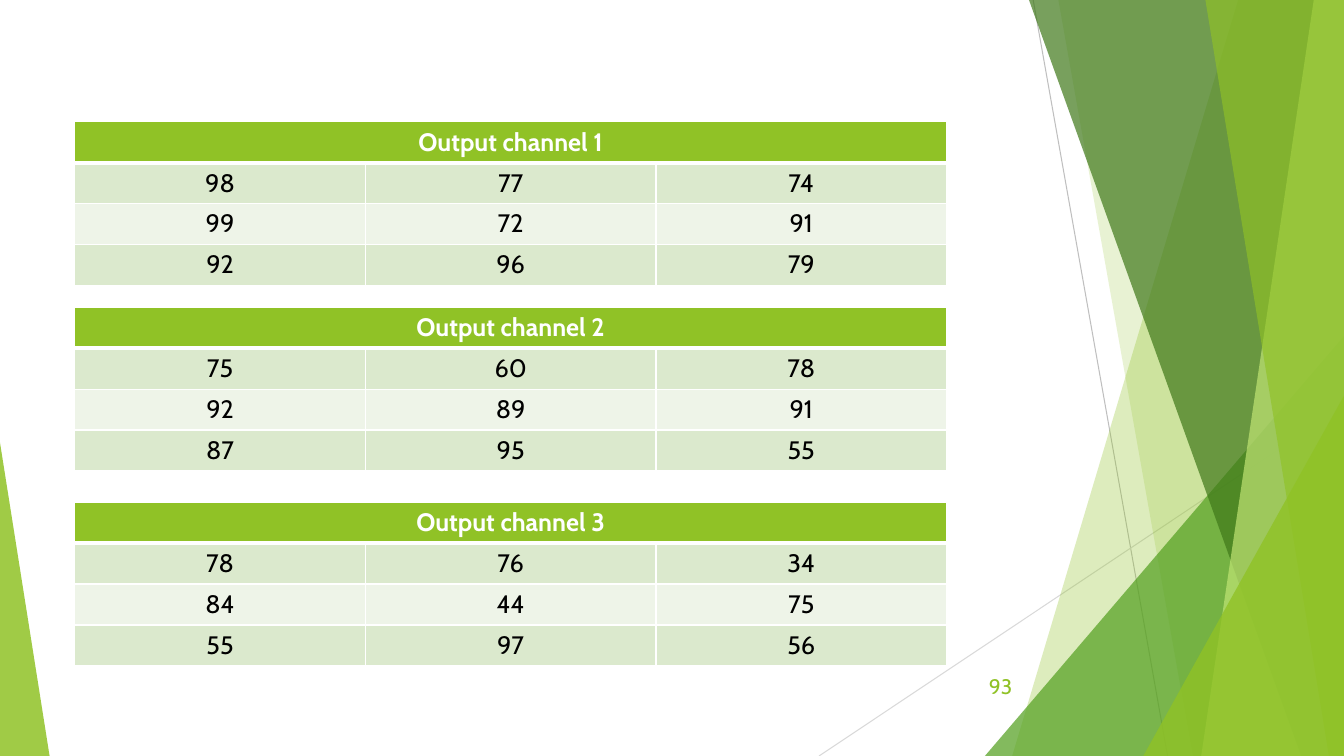
from lxml.etree import SubElement
from pptx import Presentation
from pptx.dml.color import RGBColor
from pptx.enum.shapes import MSO_CONNECTOR as Connector, MSO_SHAPE as Preset
from pptx.enum.text import MSO_ANCHOR as Anchor, PP_ALIGN as Align
from pptx.oxml.ns import qn
from pptx.util import Inches, Pt

COLORS = {
    "lime": "90C226", "green": "54A021", "forest": "3F7819", "pale": "C0E474",
    "band": "DBE9CD", "light band": "EEF4E8", "white": "FFFFFF",
    "black": "000000", "gray": "BFBFBF", "light gray": "D9D9D9",
}
COLS, ROWS = 160, 90  # grid over the whole slide
ROW_HEIGHT = 4.86


class ChannelSlide:
    font = "Cabin"

    def __init__(self, deck):
        self.slide = deck.slides.add_slide(deck.slide_layouts[6])
        self.shapes = self.slide.shapes
        self.col = deck.slide_width / COLS
        self.row = deck.slide_height / ROWS

    def x(self, cols):
        return round(cols * self.col)

    def y(self, rows):
        return round(rows * self.row)

    def box(self, left, top, width, height):
        return self.x(left), self.y(top), self.x(width), self.y(height)

    def color(self, name):
        return RGBColor.from_string(COLORS[name])

    def paint(self, facet, name, opacity):
        facet.shadow.inherit = False
        facet.line.fill.background()
        facet.fill.solid()
        facet.fill.fore_color.rgb = self.color(name)
        tint = facet._element.spPr.find(qn("a:solidFill"))[0]
        SubElement(tint, qn("a:alpha"), val=str(opacity * 1000))

    def line(self, start, end, name):
        ray = self.shapes.add_connector(
            Connector.STRAIGHT, self.x(start[0]), self.y(start[1]),
            self.x(end[0]), self.y(end[1]))
        ray.line.color.rgb = self.color(name)
        ray.line.width = Pt(0.75)
        SubElement(ray._element.spPr, qn("a:effectLst"))

    def polygon(self, corners, name, opacity):
        points = [(self.x(col), self.y(row)) for col, row in corners]
        outline = self.shapes.build_freeform(*points[0])
        outline.add_line_segments(points[1:], close=True)
        self.paint(outline.convert_to_shape(), name, opacity)

    def triangle(self, left, top, width, height, tip, name, opacity):
        facet = self.shapes.add_shape(
            Preset.ISOSCELES_TRIANGLE, *self.box(left, top, width, height))
        facet.adjustments[0] = tip
        self.paint(facet, name, opacity)

    def add_words(self, frame, words, align, size, name, bold=False):
        paragraph = frame.paragraphs[0]
        paragraph.alignment = align
        run = paragraph.add_run()
        run.text = words
        run.font.name, run.font.size, run.font.bold = self.font, Pt(size), bold
        run.font.color.rgb = self.color(name)

    def text(self, left, top, width, height, words, align, size, name):
        frame = self.shapes.add_textbox(
            *self.box(left, top, width, height)).text_frame
        frame.word_wrap = True
        frame.vertical_anchor = Anchor.MIDDLE
        self.add_words(frame, words, align, size, name)

    def style_cell(self, cell, fill, top_width, bottom_width):
        borders = {"a:lnL": 1, "a:lnR": 1, "a:lnT": top_width, "a:lnB": bottom_width}
        properties = cell._tc.get_or_add_tcPr()
        for side, width in borders.items():
            edge = SubElement(properties, qn(side), w=str(Pt(width)))
            solid = SubElement(edge, qn("a:solidFill"))
            SubElement(solid, qn("a:srgbClr"), val=COLORS["white"])
        cell.fill.solid()
        cell.fill.fore_color.rgb = self.color(fill)

    def table(self, left, top, width, heading, values):
        count = len(values[0])
        rows = len(values) + 1
        grid = self.shapes.add_table(
            rows, count, *self.box(left, top, width, rows * ROW_HEIGHT)).table
        grid.horz_banding = False
        # Header across all columns
        for column in range(count):
            self.style_cell(grid.cell(0, column), "lime", 1, 3)
        header = grid.cell(0, 0)
        header.merge(grid.cell(0, count - 1))
        self.add_words(header.text_frame, heading, Align.CENTER, 18, "white", True)
        # Banded values
        for r, numbers in enumerate(values, 1):
            band = "band" if r % 2 else "light band"
            for c, number in enumerate(numbers):
                cell = grid.cell(r, c)
                self.style_cell(cell, band, 3 if r == 1 else 1, 1)
                self.add_words(cell.text_frame, str(number), Align.CENTER, 18, "black")


def main():
    deck = Presentation()
    deck.slide_width, deck.slide_height = Inches(13.33), Inches(7.5)
    page = ChannelSlide(deck)

    # Background rays and facets
    page.line((123, 0), (139, ROWS), "gray")
    page.line((COLS, 48.3), (97.5, ROWS), "light gray")

    def side_facet(top, bottom, name, opacity):
        corners = [(top, 0), (COLS, 0), (COLS, ROWS), (bottom, ROWS)]
        page.polygon(corners, name, opacity)

    side_facet(147.4, 120.5, "lime", 30)
    side_facet(126, 142, "lime", 20)
    page.triangle(117.25, 40, 42.75, 50, 1, "green", 72)
    side_facet(122.5, 154.9, "forest", 70)
    side_facet(156.4, 143, "pale", 70)
    side_facet(143.5, 158.2, "lime", 65)
    page.triangle(136.1, 47.1, 23.9, 42.9, 1, "lime", 80)
    page.triangle(0, 52.7, 5.9, 37.3, 0, "lime", 85)

    # Output channels
    channels = [
        (14.5, [(98, 77, 74), (99, 72, 91), (92, 96, 79)]),
        (36.6, [(75, 60, 78), (92, 89, 91), (87, 95, 55)]),
        (59.8, [(78, 76, 34), (84, 44, 75), (55, 97, 56)]),
    ]
    for number, (top, values) in enumerate(channels, 1):
        page.table(8.9, top, 103.8, f"Output channel {number}", values)

    # Page number
    page.text(112.7, 79.3, 9, 4.8, "93", Align.RIGHT, 15, "lime")

    deck.save("out.pptx")


if __name__ == "__main__":
    main()
